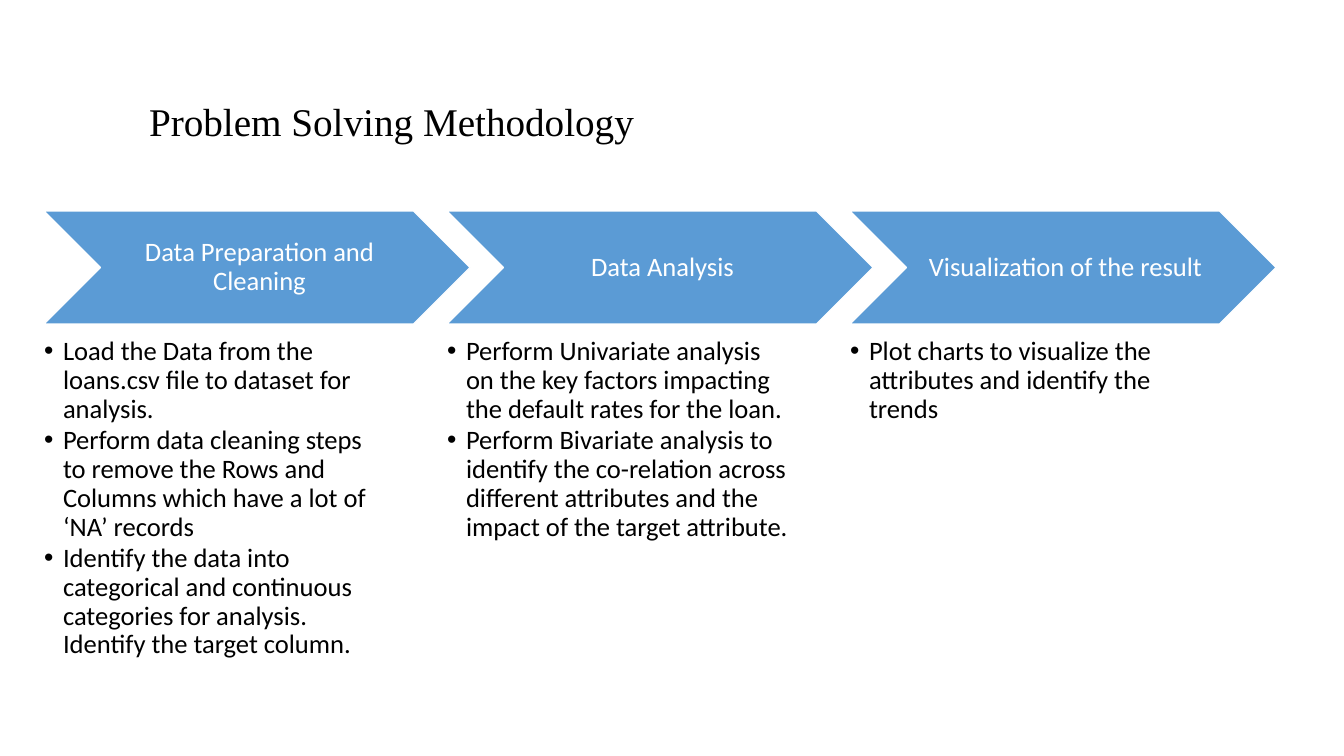
from dataclasses import dataclass

from lxml import etree
from pptx import Presentation
from pptx.dml.color import RGBColor
from pptx.enum.shapes import MSO_SHAPE
from pptx.enum.text import MSO_ANCHOR, MSO_AUTO_SIZE, PP_ALIGN
from pptx.oxml.ns import qn
from pptx.util import Pt

CHEVRON = MSO_SHAPE.CHEVRON
TOP, MIDDLE = MSO_ANCHOR.TOP, MSO_ANCHOR.MIDDLE
LEFT, CENTER = PP_ALIGN.LEFT, PP_ALIGN.CENTER
NO_FIT = MSO_AUTO_SIZE.NONE

TITLE = "Problem Solving Methodology"
STAGES = [
    ("Data Preparation and Cleaning", [
        "Load the Data from the loans.csv file to dataset for analysis.",
        "Perform data cleaning steps to remove the Rows and Columns "
        "which have a lot of ‘NA’ records",
        "Identify the data into categorical and continuous categories "
        "for analysis. Identify the target column.",
    ]),
    ("Data Analysis", [
        "Perform Univariate analysis on the key factors impacting "
        "the default rates for the loan.",
        "Perform Bivariate analysis to identify the co-relation across "
        "different attributes and the impact of the target attribute.",
    ]),
    ("Visualization of the result", [
        "Plot charts to visualize the attributes and identify the trends",
    ]),
]


@dataclass(frozen=True)
class Theme:
    blue: RGBColor = RGBColor(0x5B, 0x9B, 0xD5)
    white: RGBColor = RGBColor(0xFF, 0xFF, 0xFF)
    black: RGBColor = RGBColor(0, 0, 0)
    title_font: str = "Times New Roman"
    body_font: str = "Calibri"
    title_size: int = 28
    body_size: int = 19
    line_spacing: float = 0.9


THEME = Theme()
SLIDE_W, SLIDE_H = 1344, 756
TITLE_BOX = (125, 71, 1027, 95)
STAGE_LEFT, STAGE_PITCH = 44, 403
CHEVRON_TOP, CHEVRON_W, CHEVRON_H = 211, 426, 113
DETAIL_TOP, DETAIL_W, DETAIL_H = 338, 341, 340
BULLET_INDENT = 19


def px(length):
    return round(length * 914400 / 100.8)


def set_frame(shape, anchor, margins):
    frame = shape.text_frame
    frame.word_wrap = True
    frame.auto_size = NO_FIT
    frame.vertical_anchor = anchor
    (frame.margin_left, frame.margin_top,
     frame.margin_right, frame.margin_bottom) = map(px, margins)
    return frame


def write(para, text, font, size, color, align):
    para.alignment = align
    para.line_spacing = THEME.line_spacing
    span = para.add_run()
    span.text = text
    span.font.name = font
    span.font.size = Pt(size)
    span.font.color.rgb = color


def add_bullet(para):
    props = para._p.get_or_add_pPr()
    props.set("marL", str(px(BULLET_INDENT)))
    props.set("indent", str(-px(BULLET_INDENT)))
    etree.SubElement(props, qn("a:buFont")).set("typeface", "Arial")
    etree.SubElement(props, qn("a:buChar")).set("char", "•")


def add_title(page):
    title = page.shapes.title
    title.left, title.top, title.width, title.height = map(px, TITLE_BOX)
    frame = set_frame(title, MIDDLE, (24, 15, 10, 5))
    write(frame.paragraphs[0], TITLE, THEME.title_font, THEME.title_size,
          THEME.black, LEFT)


def add_stage(page, left, label, details):
    chevron = page.shapes.add_shape(
        CHEVRON, *map(px, (left, CHEVRON_TOP, CHEVRON_W, CHEVRON_H)))
    chevron.shadow.inherit = False
    chevron.fill.solid()
    chevron.fill.fore_color.rgb = THEME.blue
    chevron.line.color.rgb = THEME.white
    chevron.line.width = Pt(1)
    frame = set_frame(chevron, MIDDLE, (8, 3, 3, 3))
    write(frame.paragraphs[0], label, THEME.body_font, THEME.body_size,
          THEME.white, CENTER)

    box = page.shapes.add_textbox(
        *map(px, (left, DETAIL_TOP, DETAIL_W, DETAIL_H)))
    frame = set_frame(box, TOP, (0, 0, 0, 0))
    for index, detail in enumerate(details):
        para = frame.add_paragraph() if index else frame.paragraphs[0]
        write(para, detail, THEME.body_font, THEME.body_size,
              THEME.black, LEFT)
        para.space_after = Pt(2)
        add_bullet(para)


def main():
    deck = Presentation()
    deck.slide_width, deck.slide_height = px(SLIDE_W), px(SLIDE_H)
    page = deck.slides.add_slide(deck.slide_layouts[5])
    add_title(page)
    for index, (label, details) in enumerate(STAGES):
        add_stage(page, STAGE_LEFT + index * STAGE_PITCH, label, details)
    deck.save("out.pptx")


if __name__ == "__main__":
    main()
